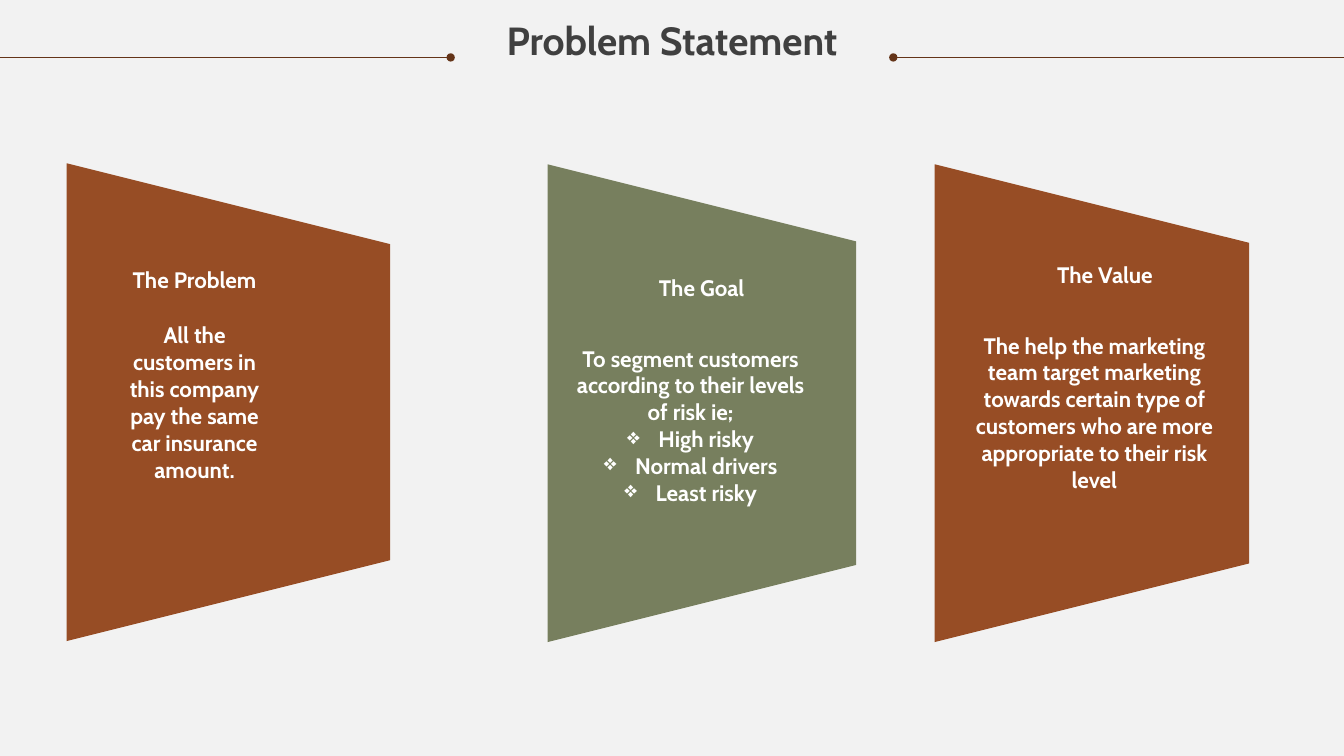
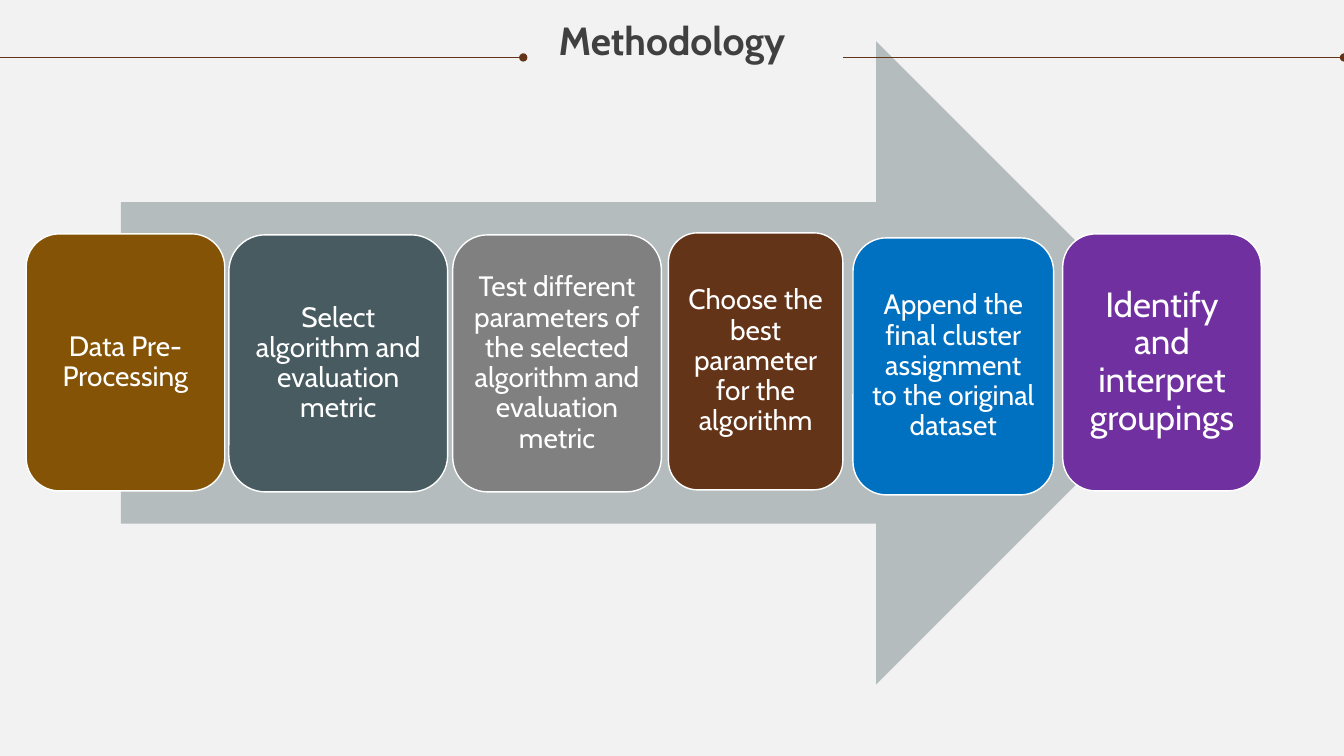
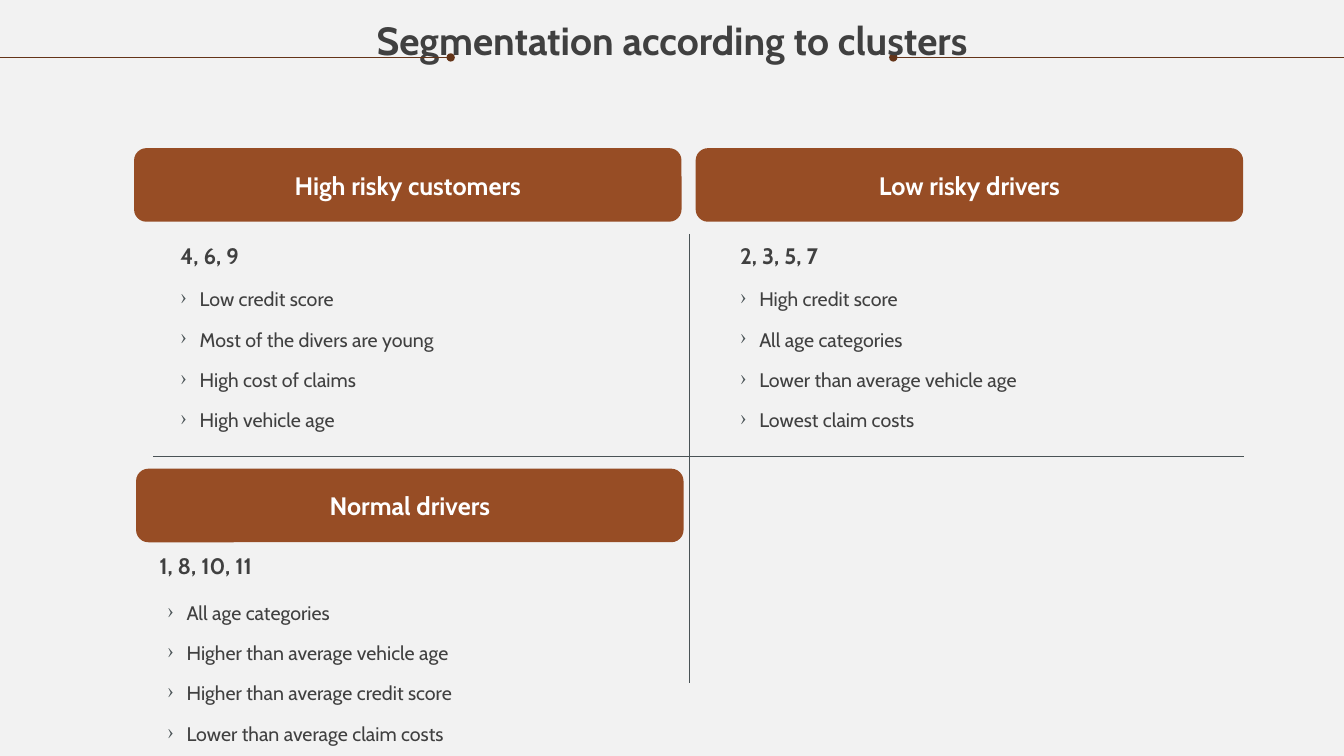
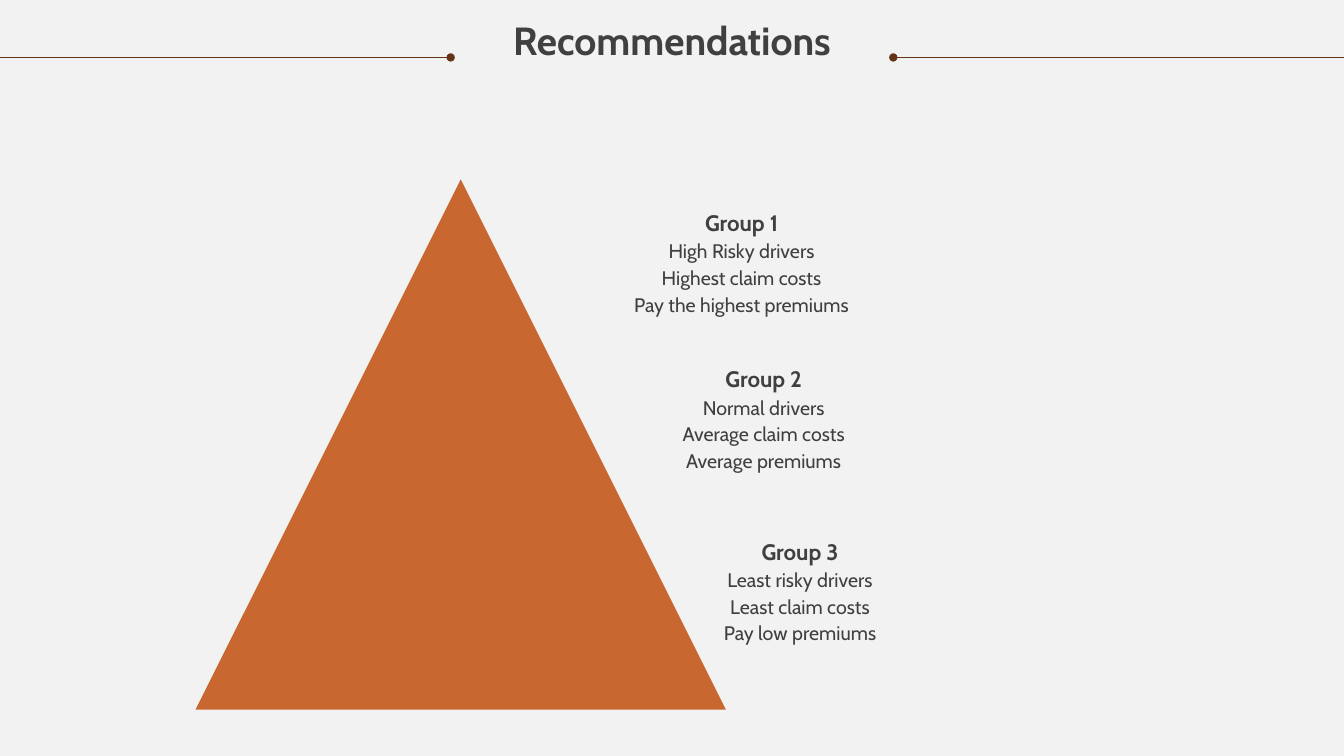
from lxml import etree
from pptx import Presentation
from pptx.dml.color import RGBColor
from pptx.enum.shapes import MSO_CONNECTOR, MSO_SHAPE as SHAPE
from pptx.enum.text import MSO_ANCHOR as ANCHOR, PP_ALIGN as ALIGN
from pptx.oxml.ns import qn
from pptx.util import Inches, Pt

FONT = "Cabin"
WIDTH, HEIGHT = 13.33, 7.5
RULE_Y = 0.57
COLORS = {
    "paper": "F2F2F2", "ink": "404040", "white": "FFFFFF", "slate": "4A5356",
    "brown": "643418", "rust": "974D25", "olive": "777F5E", "orange": "C96731",
    "mist": "B4BCBE", "ochre": "845305", "teal": "475B61", "gray": "808080",
    "blue": "0070C0", "purple": "7030A0",
}


def color(name):
    """Return the palette colour with this name."""
    return RGBColor.from_string(COLORS[name])


def set_bullet(para, char, indent, tint):
    """Give a paragraph a hanging bullet."""
    props = para._p.get_or_add_pPr()
    props.set("marL", str(Inches(indent)))
    props.set("indent", str(-Inches(indent)))
    holder = etree.SubElement(props, qn("a:buClr"))
    etree.SubElement(holder, qn("a:srgbClr"), val=COLORS[tint])
    etree.SubElement(props, qn("a:buChar"), char=char)


def style(para, size, tint, bold=False, align=ALIGN.CENTER):
    """Format a paragraph and its runs."""
    para.alignment = align
    for span in para.runs:
        span.font.name = FONT
        span.font.size = Pt(size)
        span.font.bold = bold
        span.font.color.rgb = color(tint)


def set_insets(frame, inset):
    """Wrap the text and use one inset on all sides."""
    frame.word_wrap = True
    frame.margin_left = frame.margin_right = Inches(inset)
    frame.margin_top = frame.margin_bottom = Inches(inset)


def add_text(page, box, lines, size, tint, bold=False, align=ALIGN.CENTER):
    """Add a text box with one paragraph per line and return its paragraphs."""
    frame = page.shapes.add_textbox(*map(Inches, box)).text_frame
    set_insets(frame, 0)
    frame.text = "\n".join(lines)
    for para in frame.paragraphs:
        style(para, size, tint, bold, align)
    return frame.paragraphs


def add_block(page, kind, box, fill, outline=None):
    """Add a flat preset shape."""
    block = page.shapes.add_shape(kind, *map(Inches, box))
    block.shadow.inherit = False
    block.fill.solid()
    block.fill.fore_color.rgb = color(fill)
    if outline:
        block.line.color.rgb = color(outline)
        block.line.width = Pt(1)
    else:
        block.line.fill.background()
    return block


def fill_label(block, text, size, bold=False, inset=0.08):
    """Centre white text inside a shape."""
    frame = block.text_frame
    set_insets(frame, inset)
    frame.vertical_anchor = ANCHOR.MIDDLE
    frame.text = text
    para = frame.paragraphs[0]
    style(para, size, "white", bold)
    return para


def add_rule(page, start, end, tint, dot=None):
    """Add a thin line, with a dot at its headEnd or tailEnd if asked."""
    rule = page.shapes.add_connector(MSO_CONNECTOR.STRAIGHT, *map(Inches, start + end))
    rule.line.color.rgb = color(tint)
    rule.line.width = Pt(0.5)
    if dot:
        etree.SubElement(rule.line._get_or_add_ln(), qn(f"a:{dot}"), type="oval")
    etree.SubElement(rule._element.spPr, qn("a:effectLst"))


def add_header(page, title, left_end=4.47, right_start=8.86, right_dot="headEnd"):
    """Place the title between its two dotted rules."""
    add_rule(page, (right_start, RULE_Y), (WIDTH, RULE_Y), "brown", right_dot)
    para = add_text(page, (0.25, 0.21, 12.83, 0.73), [title], 28, "ink", True)[0]
    para.line_spacing = 0.9
    add_rule(page, (0, RULE_Y), (left_end, RULE_Y), "brown", "tailEnd")


def add_panel(page, box, fill, heading, heading_at, body, body_at, body_width, points=()):
    """Draw a sideways trapezoid with a heading, a body and bullet points."""
    left, top, width, height = box
    shift = (height - width) / 2
    turned = (left - shift, top + shift, height, width)
    add_block(page, SHAPE.TRAPEZOID, turned, fill).rotation = 90
    add_text(page, (left + heading_at[0], top + heading_at[1], 1.5, 0.27),
             [heading], 16, "white", True)
    paras = add_text(page, (left + body_at[0], top + body_at[1], body_width, 1.62),
                     [body, *points], 16, "white", True)
    for para in paras[1:]:
        set_bullet(para, "❖", 0.31, "white")


def build_problem(page):
    """Build the three statement panels."""
    add_header(page, "Problem Statement")
    add_panel(page, (0.66, 1.62, 3.21, 4.74), "rust", "The Problem", (0.52, 1.02),
              "All the customers in this company pay the same car insurance amount.",
              (0.52, 1.57), 1.5)
    add_panel(page, (5.43, 1.63, 3.06, 4.74), "olive", "The Goal", (0.78, 1.09),
              "To segment customers according to their levels of risk ie;",
              (0.19, 1.79), 2.46, ["High risky", "Normal drivers", "Least risky"])
    add_panel(page, (9.27, 1.63, 3.12, 4.74), "rust", "The Value", (0.94, 0.96),
              "The help the marketing team target marketing towards certain type of "
              "customers who are more appropriate to their risk level",
              (0.23, 1.66), 2.71)


def build_methodology(page):
    """Build the row of steps over a wide arrow."""
    add_block(page, SHAPE.RIGHT_ARROW, (1.2, 0.41, 10.68, 6.38), "mist")
    steps = [
        (0.26, 2.32, 1.97, "ochre", 20, "Data Pre-Processing"),
        (2.27, 2.33, 2.17, "teal", 20, "Select algorithm and evaluation metric"),
        (4.49, 2.33, 2.07, "gray", 20,
         "Test different parameters of the selected algorithm and evaluation metric"),
        (6.63, 2.31, 1.73, "brown", 20, "Choose the best parameter for the algorithm"),
        (8.46, 2.36, 1.99, "blue", 20,
         "Append the final cluster assignment to the original dataset"),
        (10.54, 2.32, 1.97, "purple", 25, "Identify and interpret groupings"),
    ]
    for left, top, width, fill, size, text in steps:
        step = add_block(page, SHAPE.ROUNDED_RECTANGLE, (left, top, width, 2.55),
                         fill, "white")
        fill_label(step, text, size, inset=size / 250).line_spacing = 0.9
    add_header(page, "Methodology", 5.19, 8.36, "tailEnd")


def add_segment(page, left, top, name, clusters, clusters_at, traits, traits_at):
    """Place a segment's banner, its cluster numbers and its traits."""
    banner = add_block(page, SHAPE.ROUNDED_RECTANGLE, (left, top, 5.43, 0.73), "rust")
    fill_label(banner, name, 18, True)
    add_text(page, (left + clusters_at[0], top + clusters_at[1], 4.55, 0.27),
             [clusters], 16, "ink", True, ALIGN.LEFT)
    paras = add_text(page, (left + traits_at[0], top + traits_at[1], 4.55, 1.45),
                     traits, 14, "ink", align=ALIGN.LEFT)
    for para in paras:
        para.space_before = Pt(12)
        set_bullet(para, "›", 0.19, "slate")


def build_segmentation(page):
    """Build the three segments and the dividing cross."""
    add_header(page, "Segmentation according to clusters")
    add_rule(page, (1.52, 4.53), (12.34, 4.53), "slate")
    add_rule(page, (6.84, 2.32), (6.84, 6.78), "slate")
    add_segment(page, 1.33, 1.47, "High risky customers", "4, 6, 9", (0.46, 0.93),
                ["Low credit score", "Most of the divers are young",
                 "High cost of claims", "High vehicle age"], (0.46, 1.38))
    add_segment(page, 6.9, 1.47, "Low risky drivers", "2, 3, 5, 7", (0.44, 0.93),
                ["High credit score", "All age categories",
                 "Lower than average vehicle age", "Lowest claim costs"], (0.44, 1.38))
    add_segment(page, 1.35, 4.65, "Normal drivers", "1, 8, 10, 11", (0.23, 0.83),
                ["All age categories", "Higher than average vehicle age",
                 "Higher than average credit score", "Lower than average claim costs"],
                (0.31, 1.31))


def add_group(page, left, top, name, facts):
    """Place a group's bold name above its facts."""
    paras = add_text(page, (left, top, 4.67, 1.07), [name, *facts], 14, "ink")
    style(paras[0], 16, "ink", True)
    for para in paras:
        para.line_spacing = Pt(19)


def build_recommendations(page):
    """Build the triangle and the groups along its side."""
    add_header(page, "Recommendations")
    add_group(page, 5.02, 2.08, "Group 1",
              ["High Risky drivers", "Highest claim costs", "Pay the highest premiums"])
    add_group(page, 5.24, 3.63, "Group 2",
              ["Normal drivers", "Average claim costs", "Average premiums"])
    add_group(page, 5.6, 5.34, "Group 3",
              ["Least risky drivers", "Least claim costs", "Pay low premiums"])
    add_block(page, SHAPE.ISOSCELES_TRIANGLE, (1.94, 1.78, 5.26, 5.26), "orange")


def main():
    """Build and save the deck."""
    deck = Presentation()
    deck.slide_width, deck.slide_height = Inches(WIDTH), Inches(HEIGHT)
    backdrop = deck.slide_master.background.fill
    backdrop.solid()
    backdrop.fore_color.rgb = color("paper")
    for build in (build_problem, build_methodology, build_segmentation,
                  build_recommendations):
        build(deck.slides.add_slide(deck.slide_layouts[6]))
    deck.save("out.pptx")


if __name__ == "__main__":
    main()
